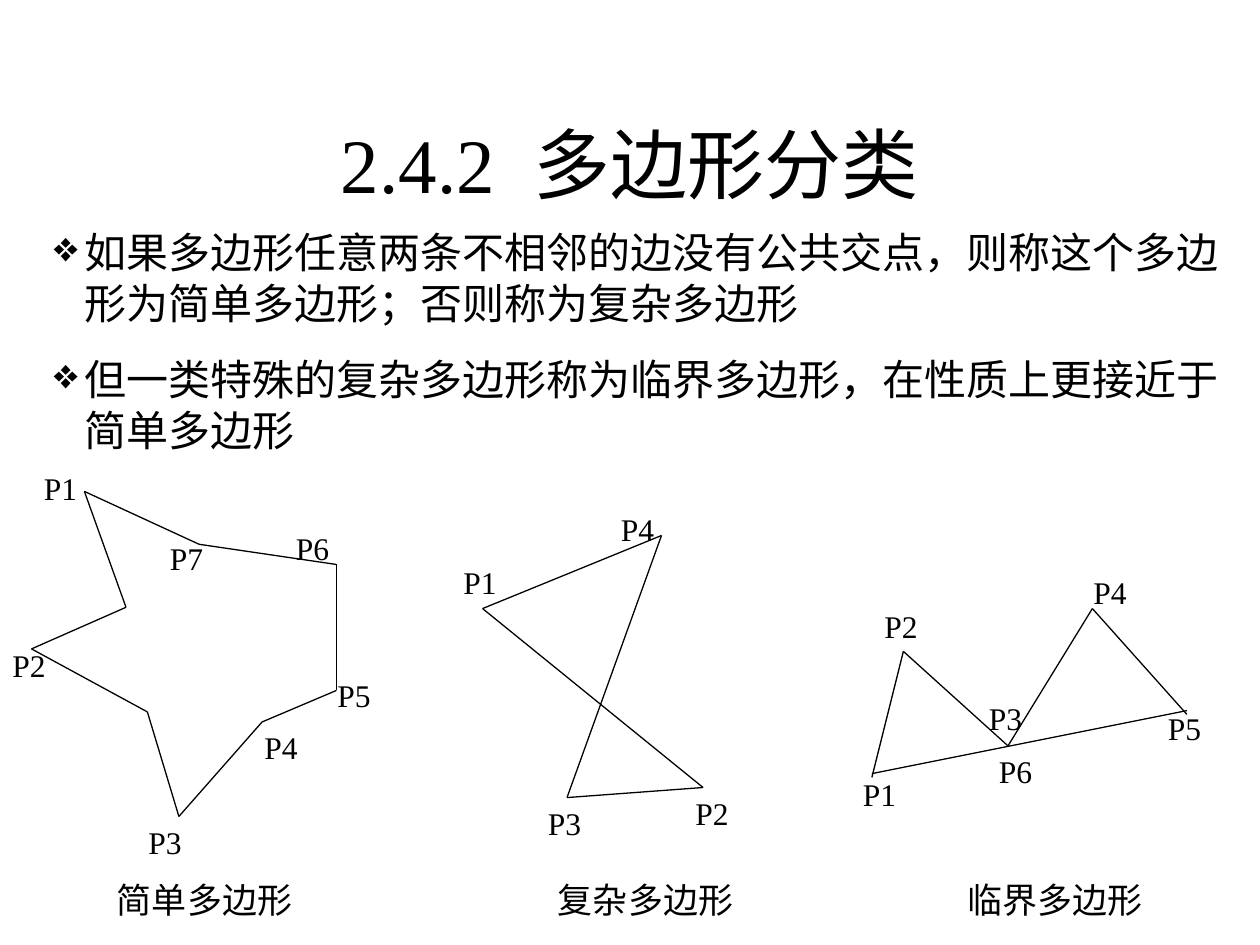
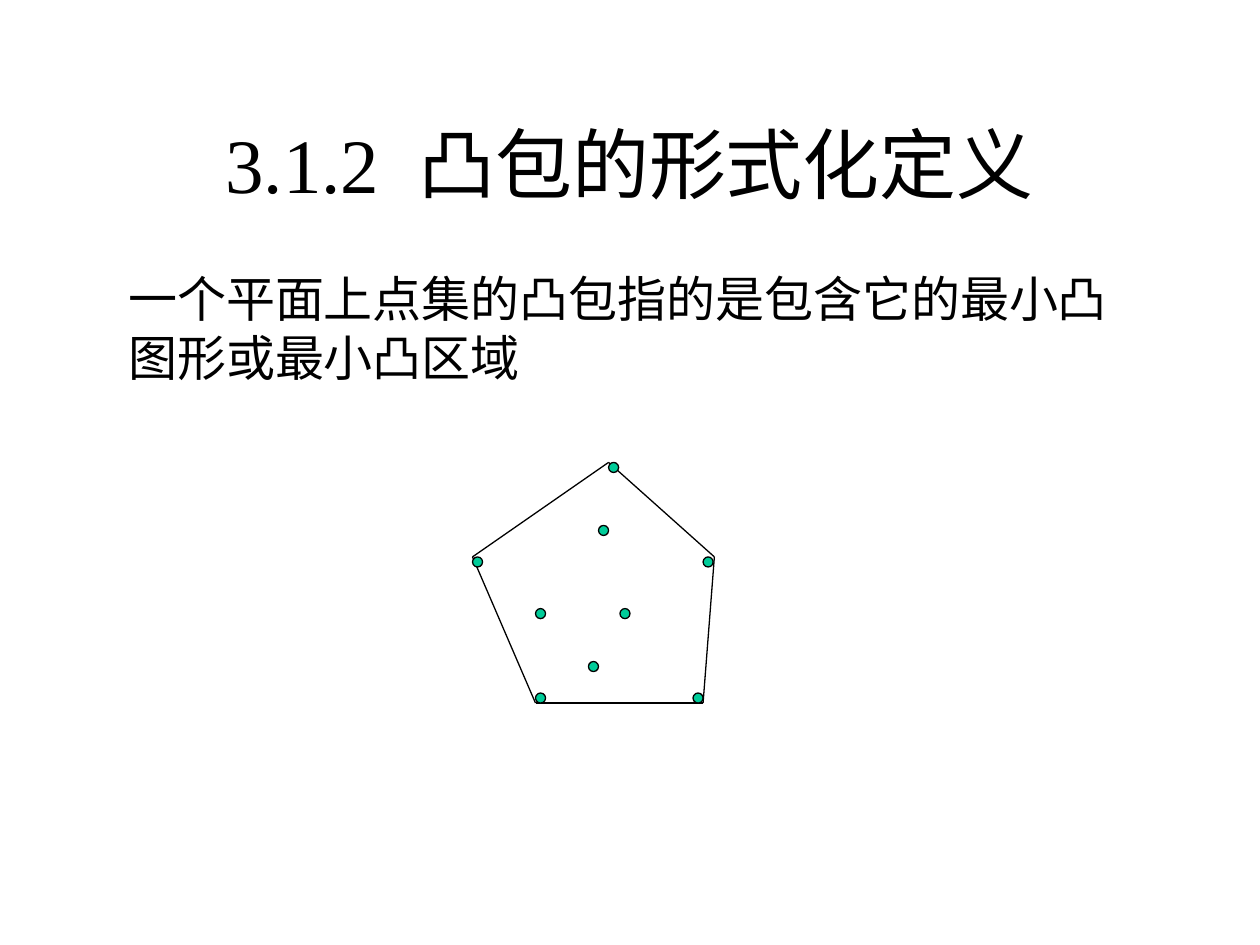
from dataclasses import dataclass
from itertools import pairwise

from lxml import etree
from pptx import Presentation
from pptx.dml.color import RGBColor
from pptx.enum.shapes import MSO_CONNECTOR, MSO_SHAPE
from pptx.enum.text import MSO_ANCHOR, MSO_AUTO_SIZE, PP_ALIGN
from pptx.oxml.ns import qn
from pptx.util import Inches, Pt

STRAIGHT = MSO_CONNECTOR.STRAIGHT
OVAL = MSO_SHAPE.OVAL
MIDDLE = MSO_ANCHOR.MIDDLE
GROW = MSO_AUTO_SIZE.SHAPE_TO_FIT_TEXT
NO_FIT = MSO_AUTO_SIZE.NONE
CENTER, LEFT = PP_ALIGN.CENTER, PP_ALIGN.LEFT

# Shared style
FONT = "Times New Roman"
INK, DOT_FILL = "000000", "00CC99"
LINE_WIDTH = Pt(0.75)
DOT_SIZE = 0.08
LABEL_SIZE = (0.5, 0.4)
CAPTION_TOP, CAPTION_SIZE = 6.92, (1.75, 0.44)
HANGING = Inches(0.24)

Point = tuple[float, float]


@dataclass
class Figure:
    caption: str
    caption_left: float
    paths: list[list[Point]]
    labels: dict[str, Point]


FIGURES = [
    Figure(
        "简单多边形", 0.83,
        [[(1.58, 4.32), (0.67, 3.9), (1, 4.82), (0.25, 5.15), (1.17, 5.65),
          (1.42, 6.48), (2.08, 5.73), (2.67, 5.48), (2.67, 4.48), (1.58, 4.32)]],
        {"P1": (0.25, 3.67), "P2": (0, 5.08), "P3": (1.08, 6.48), "P4": (2, 5.73),
         "P5": (2.58, 5.32), "P6": (2.25, 4.15), "P7": (1.25, 4.23)},
    ),
    Figure(
        "复杂多边形", 4.33,
        [[(3.83, 4.83), (5.58, 6.25), (4.5, 6.33), (5.25, 4.25), (3.83, 4.83)]],
        {"P1": (3.58, 4.42), "P2": (5.42, 6.25), "P3": (4.25, 6.33), "P4": (4.83, 4)},
    ),
    Figure(
        "临界多边形", 7.58,
        [[(6.92, 6.17), (7.17, 5.17), (8, 5.92), (8.67, 4.83), (9.42, 5.67)],
         [(6.92, 6.14), (9.42, 5.64)]],
        {"P1": (6.75, 6.1), "P2": (6.92, 4.77), "P3": (7.75, 5.5),
         "P4": (8.58, 4.5), "P5": (9.17, 5.58), "P6": (7.83, 5.92)},
    ),
]

HULL = [(4.83, 3.67), (3.75, 4.42), (4.25, 5.58), (5.58, 5.58), (5.67, 4.42), (4.83, 3.67)]
INNER_DOTS = [(4.75, 4.17), (4.92, 4.83), (4.25, 4.83), (4.67, 5.25)]
HULL_DOTS = [(4.83, 3.67), (5.58, 4.42), (3.75, 4.42), (4.25, 5.5), (5.5, 5.5)]


def rgb(color: str) -> RGBColor:
    return RGBColor.from_string(color)


def add_run(p, text: str, size: float):
    r = p.add_run()
    r.text = text
    r.font.name = FONT
    r.font.size = Pt(size)
    r.font.color.rgb = rgb(INK)
    return r


def add_title_slide(prs, number: str, heading: str):
    slide = prs.slides.add_slide(prs.slide_layouts[5])
    sp = slide.shapes.title
    sp.left, sp.top = Inches(0.75), Inches(0.67)
    sp.width, sp.height = Inches(8.5), Inches(1.25)
    tf = sp.text_frame
    tf.auto_size = NO_FIT
    tf.vertical_anchor = MIDDLE
    p = tf.paragraphs[0]
    p.alignment = CENTER
    add_run(p, number, 44)
    # One space, widened by letter spacing
    gap = add_run(p, " ", 44)
    gap.font._element.set("spc", "1100")
    add_run(p, heading, 44)
    return slide


def add_bullet(p) -> None:
    pPr = p._p.get_or_add_pPr()
    pPr.set("marL", str(HANGING))
    pPr.set("indent", str(-HANGING))
    color = etree.SubElement(pPr, qn("a:buClr"))
    etree.SubElement(color, qn("a:srgbClr")).set("val", INK)
    etree.SubElement(pPr, qn("a:buChar")).set("char", "❖")


def add_text(slide, at: Point, extent: Point, paragraphs: list[str], size: float,
             bullets: bool = False) -> None:
    sp = slide.shapes.add_textbox(*map(Inches, at + extent))
    tf = sp.text_frame
    tf.word_wrap = True
    tf.auto_size = GROW
    for i, text in enumerate(paragraphs):
        p = tf.add_paragraph() if i else tf.paragraphs[0]
        p.alignment = LEFT
        if i:
            p.space_before = Pt(15)
        if bullets:
            add_bullet(p)
        add_run(p, text, size)


def add_path(shapes, points: list[Point]) -> None:
    for start, end in pairwise(points):
        line = shapes.add_connector(STRAIGHT, *map(Inches, start + end))
        line.line.color.rgb = rgb(INK)
        line.line.width = LINE_WIDTH
        etree.SubElement(line._element.spPr, qn("a:effectLst"))


def add_dot(slide, at: Point) -> None:
    sp = slide.shapes.add_shape(OVAL, *map(Inches, at), Inches(DOT_SIZE), Inches(DOT_SIZE))
    sp.shadow.inherit = False
    sp.fill.solid()
    sp.fill.fore_color.rgb = rgb(DOT_FILL)
    sp.line.color.rgb = rgb(INK)
    sp.line.width = LINE_WIDTH


def add_figure(slide, figure: Figure) -> None:
    outline = slide.shapes.add_group_shape()
    for points in figure.paths:
        add_path(outline.shapes, points)
    for name, at in figure.labels.items():
        add_text(slide, at, LABEL_SIZE, [name], 18)
    add_text(slide, (figure.caption_left, CAPTION_TOP), CAPTION_SIZE, [figure.caption], 20)


def build_classification(prs) -> None:
    slide = add_title_slide(prs, "2.4.2", "多边形分类")
    add_text(slide, (0.33, 1.75), (9.5, 1.91), [
        "如果多边形任意两条不相邻的边没有公共交点，则称这个多边形为简单多边形；否则称为复杂多边形",
        "但一类特殊的复杂多边形称为临界多边形，在性质上更接近于简单多边形",
    ], 24, bullets=True)
    for figure in FIGURES:
        add_figure(slide, figure)


def build_convex_hull(prs) -> None:
    slide = add_title_slide(prs, "3.1.2", "凸包的形式化定义")
    add_text(slide, (0.92, 2.08), (8.17, 1.04),
             ["一个平面上点集的凸包指的是包含它的最小凸图形或最小凸区域"], 28)
    add_path(slide.shapes, HULL)
    for at in INNER_DOTS + HULL_DOTS:
        add_dot(slide, at)


def main() -> None:
    prs = Presentation()
    prs.slide_width, prs.slide_height = Inches(10), Inches(7.5)
    build_classification(prs)
    build_convex_hull(prs)
    prs.save("out.pptx")


if __name__ == "__main__":
    main()
